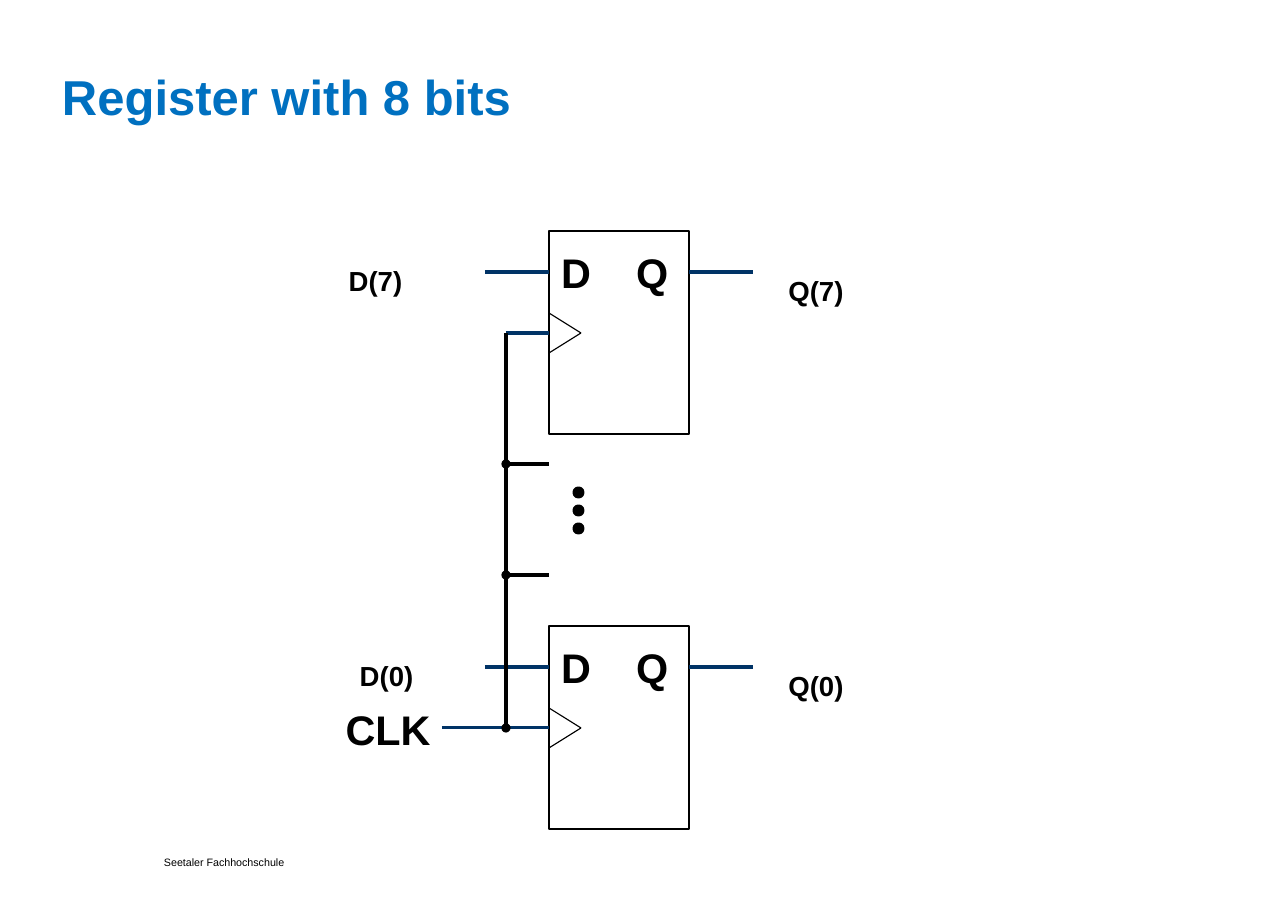
"""Build the slide that shows an 8-bit register made of D flip-flops."""
import pptx
import pptx.util
import pptx.dml.color
import pptx.enum.shapes
import pptx.enum.text
import lxml.etree

TITLE = "Register with 8 bits"
FOOTER = "Seetaler Fachhochschule"
CLOCK = "CLK"
FLIP_FLOPS = [
    {"top": 231, "input": "D(7)", "input_left": 336, "output": "Q(7)", "clock_left": 506},
    {"top": 626, "input": "D(0)", "input_left": 347, "output": "Q(0)", "clock_left": 442},
]
BRANCHES = [464, 575]
COLORS = {"title": "0070C0", "ink": "000000", "wire": "003366"}

SCALE = 914400 / 110.2
LEFT, WIDTH, HEIGHT = 549, 140, 203
RIGHT = LEFT + WIDTH
WIRE = 64
DATA_DROP, CLOCK_DROP = 41, 102
NOTCH_WIDTH, NOTCH_HALF = 32, 20
BUS = 506
DOT_LEFT, DOT_TOP, DOT_SIZE, DOT_STEP, DOT_COUNT = 574, 488, 9, 18, 3
INSETS = (12, 7, 12, 7)
ALIGN = pptx.enum.text.PP_ALIGN
PRESET = pptx.enum.shapes.MSO_SHAPE


def px(length):
    return pptx.util.Emu(round(length * SCALE))


def rgb(name):
    return pptx.dml.color.RGBColor.from_string(COLORS[name])


def write(frame, text, size, color="ink", bold=True, align=ALIGN.CENTER,
          spacing=32, insets=INSETS, wrap=True):
    frame.text = text
    frame.word_wrap = wrap
    frame.auto_size = pptx.enum.text.MSO_AUTO_SIZE.NONE
    frame.vertical_anchor = pptx.enum.text.MSO_ANCHOR.TOP
    frame.margin_left, frame.margin_top, frame.margin_right, frame.margin_bottom = map(px, insets)
    paragraph = frame.paragraphs[0]
    paragraph.alignment = align
    paragraph.line_spacing = pptx.util.Pt(spacing)
    font = paragraph.runs[0].font
    font.name, font.size, font.bold = "Arial", pptx.util.Pt(size), bold
    font.color.rgb = rgb(color)


def label(text, left, top, width, height, size, **style):
    box = slide.shapes.add_textbox(px(left), px(top), px(width), px(height))
    write(box.text_frame, text, size, **style)


def line(x1, y1, x2, y2, color="ink", weight=2, oval=None):
    connector = slide.shapes.add_connector(
        pptx.enum.shapes.MSO_CONNECTOR.STRAIGHT, px(x1), px(y1), px(x2), px(y2))
    connector.line.color.rgb = rgb(color)
    connector.line.width = pptx.util.Pt(weight)
    properties = connector.line._get_or_add_ln()
    namespace = "{http://schemas.openxmlformats.org/drawingml/2006/main}"
    if oval:
        lxml.etree.SubElement(properties, namespace + oval, type="oval")
    lxml.etree.SubElement(properties.getparent(), namespace + "effectLst")


def outline(preset, left, top, width, height, weight):
    shape = slide.shapes.add_shape(preset, px(left), px(top), px(width), px(height))
    shape.shadow.inherit = False
    shape.fill.background()
    shape.line.color.rgb = rgb("ink")
    shape.line.width = pptx.util.Pt(weight)
    return shape


def flip_flop(top, input, input_left, output, clock_left):
    outline(PRESET.RECTANGLE, LEFT, top, WIDTH, HEIGHT, 0.75)
    for pin, left in (("D", LEFT), ("Q", LEFT + 75)):
        label(pin, left, top + 10, 54, 63, 27)
    data, clock = top + DATA_DROP, top + CLOCK_DROP
    line(LEFT - WIRE, data, LEFT, data, "wire")
    line(RIGHT, data, RIGHT + WIRE, data, "wire")
    line(clock_left, clock, LEFT, clock, "wire")
    for side in (-NOTCH_HALF, NOTCH_HALF):
        line(LEFT, clock + side, LEFT + NOTCH_WIDTH, clock, weight=0.75)
    label(input, input_left, top + 10, 79, 60, 18, wrap=False)
    label(output, 776, top + 20, 80, 60, 18, wrap=False)


deck = pptx.Presentation()
deck.slide_width, deck.slide_height = px(1288), px(911)
slide = deck.slides.add_slide(deck.slide_layouts[5])

heading = slide.shapes.title
heading.left, heading.top, heading.width, heading.height = map(px, (62, 76, 911, 86))
write(heading.text_frame, TITLE, 32, "title", align=ALIGN.LEFT, insets=(0, 0, 0, 0))
label(FOOTER, 164, 858, 146, 11, 7, bold=False, align=ALIGN.LEFT, spacing=7, insets=(0, 0, 0, 0))

for stage in FLIP_FLOPS:
    flip_flop(**stage)
label(CLOCK, 313, 698, 150, 63, 27)

bus_top, bus_bottom = (stage["top"] + CLOCK_DROP for stage in FLIP_FLOPS)
line(BUS, bus_top, BUS, bus_bottom, oval="tailEnd")
for branch in BRANCHES:
    line(BUS, branch, LEFT, branch, oval="headEnd")

for index in range(DOT_COUNT):
    dot = outline(PRESET.OVAL, DOT_LEFT, DOT_TOP + index * DOT_STEP, DOT_SIZE, DOT_SIZE, 2)
    dot.fill.solid()
    dot.fill.fore_color.rgb = rgb("ink")

deck.save("out.pptx")
